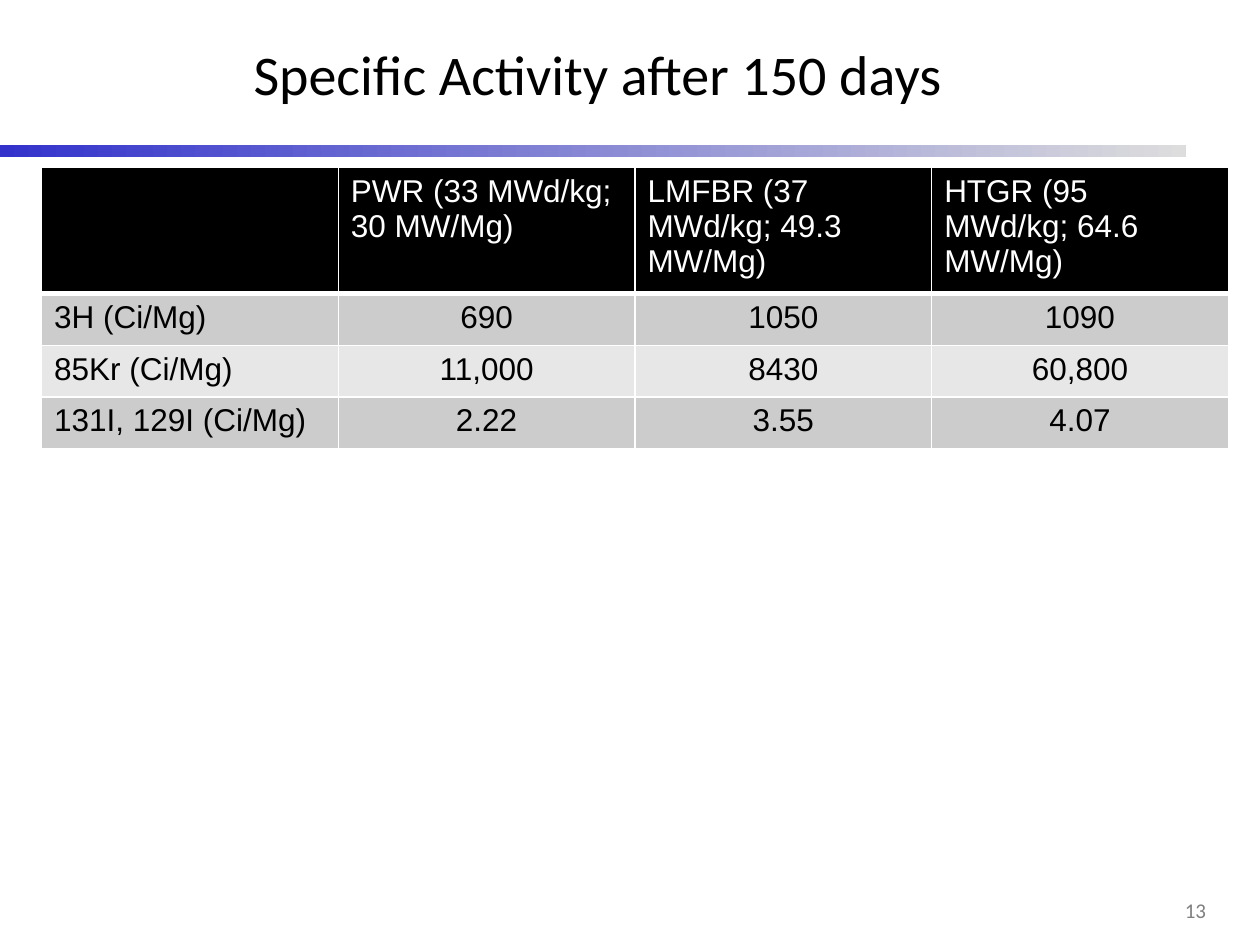
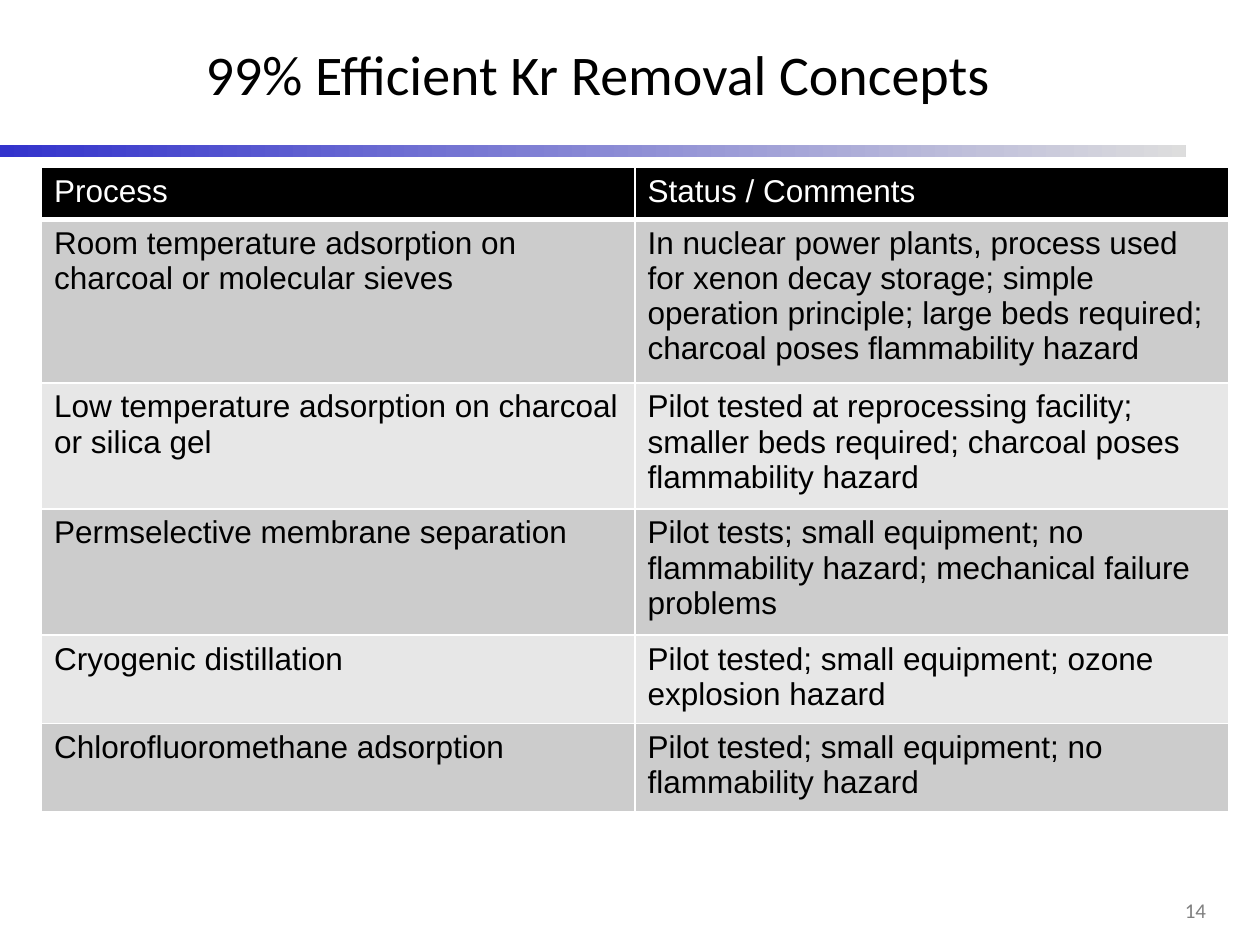
from lxml.etree import SubElement
from pptx import Presentation
from pptx.dml.color import RGBColor
from pptx.enum.shapes import MSO_SHAPE
from pptx.enum.text import MSO_ANCHOR, PP_ALIGN
from pptx.oxml.ns import qn
from pptx.util import Inches, Pt

COLORS = {
    "paper": "FFFFFF",
    "ink": "000000",
    "band_start": "3333CC",
    "band_end": "DDDDDD",
    "row_dark": "CCCCCC",
    "row_light": "E7E7E7",
    "page_number": "808080",
}
TABLE_LEFT, TABLE_TOP, TABLE_WIDTH = 0.33, 1.33, 9.42
ROW_HEIGHT = 0.41

ACTIVITY = [
    ["", "PWR (33 MWd/kg; 30 MW/Mg)", "LMFBR (37 MWd/kg; 49.3 MW/Mg)",
     "HTGR (95 MWd/kg; 64.6 MW/Mg)"],
    ["3H (Ci/Mg)", "690", "1050", "1090"],
    ["85Kr (Ci/Mg)", "11,000", "8430", "60,800"],
    ["131I, 129I (Ci/Mg)", "2.22", "3.55", "4.07"],
]
KRYPTON_REMOVAL = [
    ["Process", "Status / Comments"],
    ["Room temperature adsorption on charcoal or molecular sieves",
     "In nuclear power plants, process used for xenon decay storage; simple "
     "operation principle; large beds required; charcoal poses flammability hazard"],
    ["Low temperature adsorption on charcoal or silica gel",
     "Pilot tested at reprocessing facility; smaller beds required; "
     "charcoal poses flammability hazard"],
    ["Permselective membrane separation",
     "Pilot tests; small equipment; no flammability hazard; "
     "mechanical failure problems"],
    ["Cryogenic distillation",
     "Pilot tested; small equipment; ozone explosion hazard"],
    ["Chlorofluoromethane adsorption",
     "Pilot tested; small equipment; no flammability hazard"],
]


def color(name):
    return RGBColor.from_string(COLORS[name])


def write(frame, text, size=18, font="Arial", ink="ink", align=PP_ALIGN.LEFT):
    frame.word_wrap = True
    para = frame.paragraphs[0]
    para.alignment = align
    span = para.add_run()
    span.text = text
    span.font.size = Pt(size)
    span.font.name = font
    span.font.color.rgb = color(ink)


def add_text(page, text, left, top, width, height, **style):
    box = page.shapes.add_textbox(
        Inches(left), Inches(top), Inches(width), Inches(height))
    box.text_frame.vertical_anchor = MSO_ANCHOR.MIDDLE
    write(box.text_frame, text, font="Calibri", **style)


def add_band(page):
    band = page.shapes.add_shape(
        MSO_SHAPE.RECTANGLE, 0, Inches(1.15), Inches(9.41), Inches(0.1))
    band.shadow.inherit = False
    band.line.fill.background()
    band.fill.gradient()
    band.fill.gradient_angle = 0
    for stop, position, name in zip(
            band.fill.gradient_stops, (0, 1), ("band_start", "band_end")):
        stop.position = position
        stop.color.rgb = color(name)


def add_borders(cell, bottom):
    properties = cell._tc.get_or_add_tcPr()
    for side, points in (("L", 1), ("R", 1), ("T", 1), ("B", bottom)):
        line = SubElement(properties, qn(f"a:ln{side}"), w=str(Pt(points)))
        fill = SubElement(line, qn("a:solidFill"))
        SubElement(fill, qn("a:srgbClr"), val=COLORS["paper"])


def add_grid(page, rows, body_align):
    columns = len(rows[0])
    grid = page.shapes.add_table(
        len(rows), columns, Inches(TABLE_LEFT), Inches(TABLE_TOP),
        Inches(TABLE_WIDTH), Inches(ROW_HEIGHT * len(rows))).table
    grid.horz_banding = False
    for row_index, row in enumerate(rows):
        header = row_index == 0
        shade = "ink" if header else ("row_light", "row_dark")[row_index % 2]
        for column_index, text in enumerate(row):
            cell = grid.cell(row_index, column_index)
            add_borders(cell, bottom=3 if header else 1)
            cell.fill.solid()
            cell.fill.fore_color.rgb = color(shade)
            label = header or column_index == 0
            write(cell.text_frame, text, ink="paper" if header else "ink",
                  align=PP_ALIGN.LEFT if label else body_align)


def add_page(deck, title, number):
    page = deck.slides.add_slide(deck.slide_layouts[6])
    add_band(page)
    add_text(page, title, 1.12, 0.08, 7.25, 1, size=32, align=PP_ALIGN.CENTER)
    add_text(page, str(number), 8.92, 7.08, 0.75, 0.28, size=12,
             ink="page_number", align=PP_ALIGN.RIGHT)
    return page


def main():
    deck = Presentation()
    deck.slide_width, deck.slide_height = Inches(10), Inches(7.5)
    contents = [
        ("Specific Activity after 150 days", ACTIVITY, PP_ALIGN.CENTER),
        ("99% Efficient Kr Removal Concepts", KRYPTON_REMOVAL, PP_ALIGN.LEFT),
    ]
    for number, (title, rows, body_align) in enumerate(contents, start=13):
        page = add_page(deck, title, number)
        add_grid(page, rows, body_align)
    deck.save("out.pptx")


if __name__ == "__main__":
    main()
